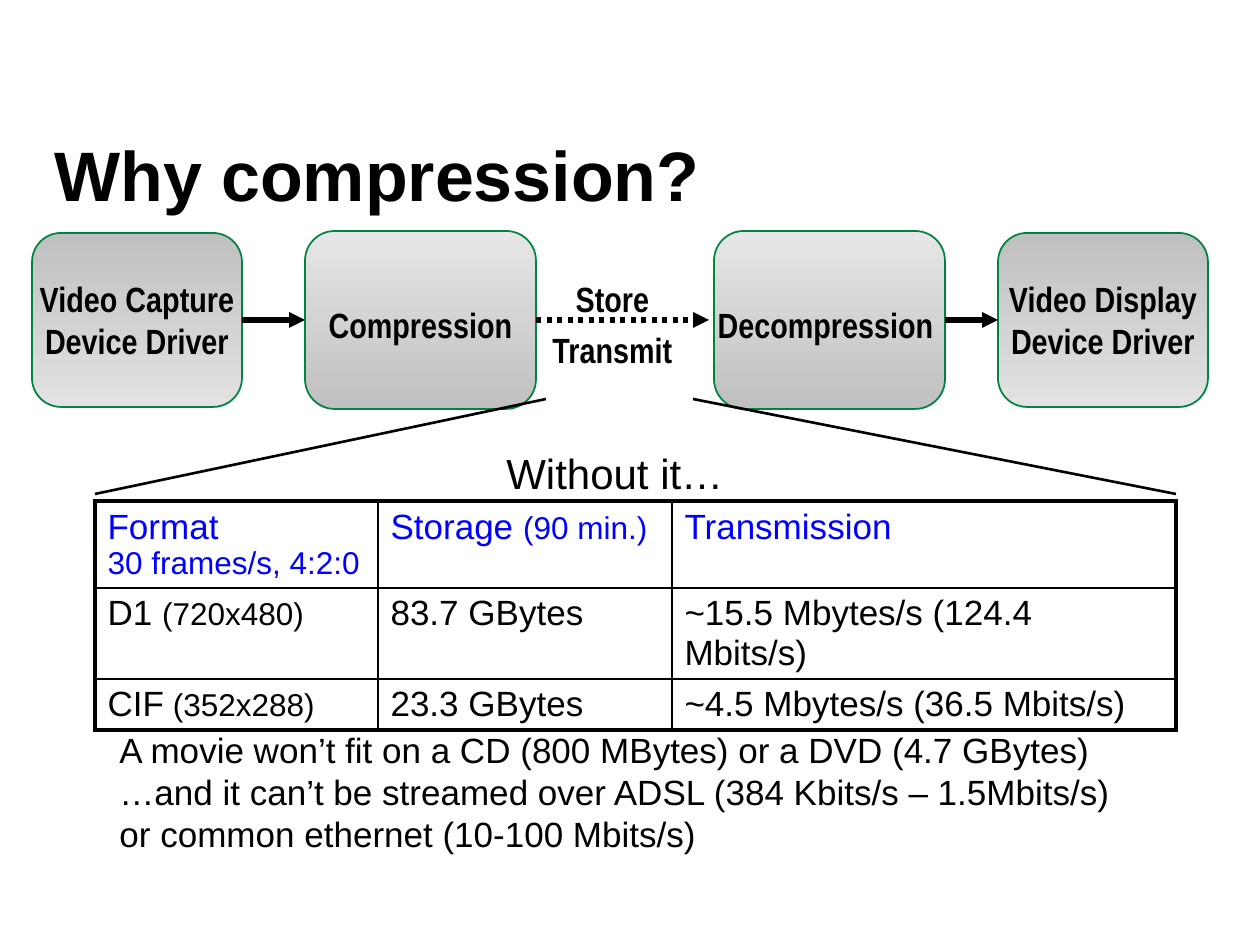
from typing import NamedTuple

from lxml.etree import SubElement
from pptx import Presentation
from pptx.dml.color import RGBColor
from pptx.enum.dml import MSO_LINE as Dash
from pptx.enum.shapes import MSO_CONNECTOR as Link, MSO_SHAPE as Shape
from pptx.enum.text import MSO_ANCHOR as Anchor, PP_ALIGN as Align
from pptx.oxml.ns import qn
from pptx.util import Emu, Pt

BLACK, BLUE, GREEN = "000000", "0000FF", "008241"
LIGHT = ("C0C0C0", "E2E2E2")
DARK = ("E6E6E6", "C0C0C0")
SANS, SLIM = "Arial", "Arial Narrow"
RIGHT, LEFT = 3, 1


class Run(NamedTuple):
    text: str
    size: int = 20


class Box(NamedTuple):
    text: str
    left: int
    top: int
    width: int
    height: int
    shades: tuple = ()
    space: float = 1.0


class Label(NamedTuple):
    lines: list
    left: int
    top: int
    width: int
    height: int
    bold: bool = False
    anchor: Anchor = Anchor.TOP


def px(num: int) -> Emu:
    return Emu(round(num * 914400 / 126))


def rgb(code: str) -> RGBColor:
    return RGBColor.from_string(code)


def write(para, runs, font: str, color: str = BLACK, bold: bool = False) -> None:
    for item in runs:
        for num, part in enumerate(item.text.split("\n")):
            if num:
                para.add_line_break()
            if part:
                run = para.add_run()
                run.text = part
                run.font.name, run.font.size = font, Pt(item.size)
                run.font.bold = bold
                run.font.color.rgb = rgb(color)


def draw_box(slide, box: Box):
    shape = slide.shapes.add_shape(
        Shape.ROUNDED_RECTANGLE, *map(px, box[1:5]))
    shape.shadow.inherit = False
    if box.shades:
        shape.fill.gradient()
        shape.fill.gradient_angle = 270
        for stop, shade, pos in zip(shape.fill.gradient_stops, box.shades, (0, 1)):
            stop.color.rgb, stop.position = rgb(shade), pos
        shape.line.color.rgb = rgb(GREEN)
        shape.line.width = Pt(1)
    else:
        shape.fill.background()
        shape.line.fill.background()
    frame = shape.text_frame
    frame.word_wrap = False
    frame.vertical_anchor = Anchor.MIDDLE
    para = frame.paragraphs[0]
    para.alignment, para.line_spacing = Align.CENTER, box.space
    write(para, [Run(box.text)], SLIM, bold=True)
    return shape


def draw_line(slide, start: tuple, end: tuple, width: float, arrow: bool = False):
    line = slide.shapes.add_connector(Link.STRAIGHT, *map(px, start + end))
    line.line.color.rgb = rgb(BLACK)
    line.line.width = Pt(width)
    props = line._element.spPr
    if arrow:
        SubElement(props.find(qn("a:ln")), qn("a:tailEnd"), type="triangle")
    SubElement(props, qn("a:effectLst"))
    return line


def draw_label(slide, label: Label) -> None:
    frame = slide.shapes.add_textbox(*map(px, label[1:5])).text_frame
    frame.word_wrap = False
    frame.vertical_anchor = label.anchor
    for num, runs in enumerate(label.lines):
        para = frame.add_paragraph() if num else frame.paragraphs[0]
        write(para, runs, SANS, bold=label.bold)


def edge(cell, side: str, width: float) -> None:
    line = SubElement(cell._tc.get_or_add_tcPr(), qn(f"a:ln{side}"),
                      w=str(Pt(width)))
    fill = SubElement(line, qn("a:solidFill"))
    SubElement(fill, qn("a:srgbClr"), val=BLACK)


def draw_table(slide, rows: list, widths: list, heights: list,
               left: int, top: int) -> None:
    table = slide.shapes.add_table(
        len(rows), len(widths), px(left), px(top),
        px(sum(widths)), px(sum(heights))).table
    table.first_row = table.horz_banding = False
    for col, width in zip(table.columns, widths):
        col.width = px(width)
    for y, (row, height) in enumerate(zip(rows, heights)):
        table.rows[y].height = px(height)
        for x, runs in enumerate(row):
            cell = table.cell(y, x)
            cell.margin_bottom = 0
            outer = {"L": x == 0, "R": x == len(widths) - 1,
                     "T": y == 0, "B": y == len(rows) - 1}
            for side, thick in outer.items():
                edge(cell, side, 2.25 if thick else 1)
            cell.fill.background()
            write(cell.text_frame.paragraphs[0], runs, SANS,
                  BLACK if y else BLUE)


def main() -> None:
    deck = Presentation()
    deck.slide_width, deck.slide_height = px(1260), px(945)
    slide = deck.slides.add_slide(deck.slide_layouts[6])

    # Title
    draw_label(slide, Label([[Run("Why compression?", 40)]], 42, 95, 1197, 157,
                            bold=True, anchor=Anchor.MIDDLE))

    # Video pipeline
    grab, pack, unpack, show = [draw_box(slide, box) for box in (
        Box("Video Capture\nDevice Driver", 32, 233, 210, 174, LIGHT),
        Box("Compression", 305, 231, 231, 178, DARK, 1.2),
        Box("Decompression ", 714, 231, 231, 178, DARK, 1.2),
        Box("Video Display\nDevice Driver", 998, 233, 210, 174, LIGHT),
    )]
    for start, end, left, right in ((grab, pack, 242, 305),
                                    (unpack, show, 945, 998)):
        arrow = draw_line(slide, (left, 320), (right, 320), 3, True)
        arrow.begin_connect(start, RIGHT)
        arrow.end_connect(end, LEFT)
    dots = draw_line(slide, (536, 320), (709, 320), 3, True)
    dots.line.dash_style = Dash.ROUND_DOT
    dots.begin_connect(pack, RIGHT)
    draw_box(slide, Box("Store\nTransmit", 542, 257, 141, 126, space=1.2))

    # Data sizes
    draw_table(slide, [
        [[Run("Format\n"), Run("30 frames/s, 4:2:0", 18)],
         [Run("Storage "), Run("(90 min.)", 18)],
         [Run("Transmission")]],
        [[Run("D1 "), Run("(720x480)", 18)],
         [Run("83.7 GBytes")],
         [Run("~15.5 Mbytes/s (124.4 Mbits/s)")]],
        [[Run("CIF"), Run(" (352x288)", 18)],
         [Run("23.3 GBytes")],
         [Run("~4.5 Mbytes/s (36.5 Mbits/s)")]],
    ], [283, 294, 504], [87, 91, 51], 95, 501)

    # Closing remarks
    draw_label(slide, Label([
        [Run("A movie won’t fit on a CD (800 MBytes) or a DVD (4.7 GBytes)")],
        [Run("…and it can’t be streamed over ADSL (384 Kbits/s – 1.5Mbits/s)\n"
             "or common ethernet (10-100 Mbits/s)")],
    ], 107, 722, 1016, 139))

    # Lines that fan out to the table
    for near, far in ((546, 95), (693, 1176)):
        draw_line(slide, (near, 399), (far, 494), 1.5)
    draw_label(slide, Label([[Run("Without it…", 24)]], 494, 441, 242, 63))

    deck.save("out.pptx")


if __name__ == "__main__":
    main()
